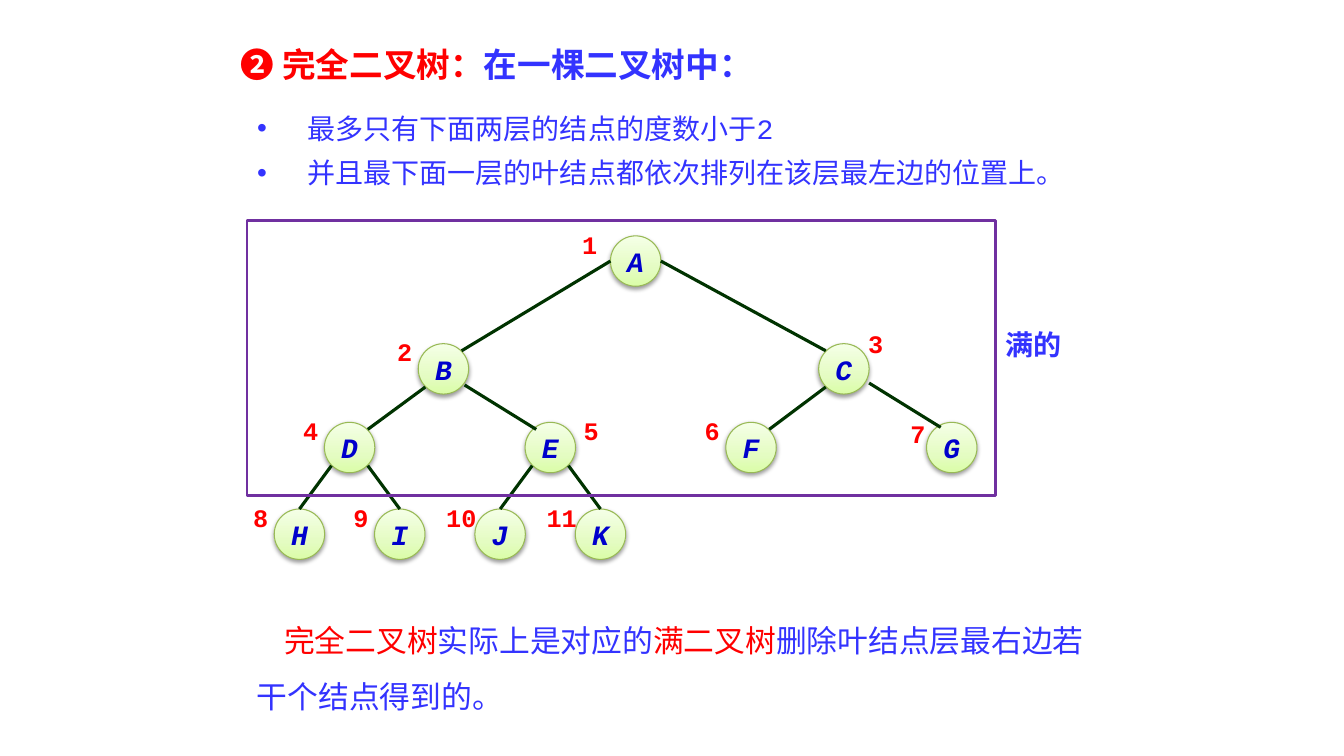
from pptx import Presentation
from pptx.dml.color import RGBColor
from pptx.enum.shapes import MSO_CONNECTOR, MSO_SHAPE
from pptx.enum.text import MSO_ANCHOR, MSO_AUTO_SIZE, PP_ALIGN
from pptx.oxml import parse_xml
from pptx.oxml.ns import nsdecls
from pptx.util import Inches, Pt

UNIT = 0.1
SIZE = 5
LEFT, STEP = 29.7, 64.7 / 13
ROWS = [25.9, 36.6, 44.4, 53]
BLUE, RED, NAVY, GREEN, PURPLE = "3333FF", "FF0000", "0000CC", "003300", "7030A0"

NODES = {
    "A": (6.7, 0), "B": (2.87, 1), "C": (10.85, 1),
    "D": (1, 2), "E": (5, 2), "F": (9, 2), "G": (13, 2),
    "H": (0, 3), "I": (2, 3), "J": (4, 3), "K": (6, 3),
}
TAGS = {"A": (-6.7, -3.2), "C": (1, -4), "E": (1.9, -3.2), "G": (-5.5, -2.9)}
ENDS = {"E": (2.1, 1.6, -1.4, -1.8), "G": (2.5, 1.4, -1.1, -2)}

GLOW = """<a:effectLst %s><a:outerShdw blurRad="39370" dist="20320" dir="5400000"
rotWithShape="0"><a:srgbClr val="000000"><a:alpha val="38000"/></a:srgbClr>
</a:outerShdw></a:effectLst>"""
FADE = """<a:gradFill %s rotWithShape="1"><a:gsLst>
<a:gs pos="0"><a:srgbClr val="DAFDA7"/></a:gs>
<a:gs pos="35000"><a:srgbClr val="E4FCC2"/></a:gs>
<a:gs pos="100000"><a:srgbClr val="F5FFE7"/></a:gs>
</a:gsLst><a:lin ang="16200000" scaled="0"/></a:gradFill>"""


def grid(*cells):
    """Turn grid units into slide lengths."""
    return [Inches(cell * UNIT) for cell in cells]


def paint(color, code):
    """Set a colour from its hex string."""
    color.rgb = RGBColor.from_string(code)


def node_xml(text):
    """Build a drawing element from its markup."""
    return parse_xml(text % nsdecls("a"))


def style(run, size, code, bold=False, slant=False):
    """Format one run."""
    run.font.name = "Courier New"
    run.font.size = Pt(size)
    run.font.bold, run.font.italic = bold, slant
    paint(run.font.color, code)


def write(para, parts, size, bold=False):
    """Fill a paragraph with coloured runs."""
    for text, code in parts:
        run = para.add_run()
        run.text = text
        style(run, size, code, bold)


def place(shape, *box):
    """Move a shape onto the grid, with its text left and at the top."""
    shape.left, shape.top, shape.width, shape.height = grid(*box)
    frame = shape.text_frame
    frame.auto_size = MSO_AUTO_SIZE.NONE
    frame.vertical_anchor = MSO_ANCHOR.TOP
    frame.paragraphs[0].alignment = PP_ALIGN.LEFT
    return frame


def text_box(slide, box, parts, size, bold=False):
    """Add a wrapped text box and return its frame."""
    frame = slide.shapes.add_textbox(*grid(*box)).text_frame
    frame.word_wrap = True
    write(frame.paragraphs[0], parts, size, bold)
    return frame


def flush(frame):
    """Drop the margins and centre the text."""
    frame.margin_left = frame.margin_right = 0
    frame.margin_top = frame.margin_bottom = 0
    frame.paragraphs[0].alignment = PP_ALIGN.CENTER


def centre(name):
    """Give the centre of a node in grid units."""
    col, row = NODES[name]
    return LEFT + col * STEP, ROWS[row]


def add_node(slide, name, tag):
    """Draw one node with its number."""
    x, y = centre(name)
    disc = slide.shapes.add_shape(
        MSO_SHAPE.OVAL, *grid(x - SIZE / 2, y - SIZE / 2, SIZE, SIZE))
    disc.fill.background()
    props = disc.fill._xPr
    props.replace(props.find("{*}noFill"), node_xml(FADE))
    paint(disc.line.color, "98B955")
    disc.line.width = Pt(0.75)
    props.append(node_xml(GLOW))
    frame = disc.text_frame
    frame.word_wrap = False
    frame.vertical_anchor = MSO_ANCHOR.MIDDLE
    frame.text = name
    style(frame.paragraphs[0].runs[0], 20, NAVY, True, True)
    flush(frame)
    dx, dy = TAGS.get(name, (-6, -3.2))
    flush(text_box(slide, (x + dx, y + dy, 4.3, 3.1), [(str(tag), RED)], 18, True))


def add_edge(slide, top, name):
    """Join a node to its parent."""
    (x1, y1), (x2, y2) = centre(top), centre(name)
    side = 1 if x2 > x1 else -1
    start = (2.5 * side, 0) if top == "A" else (1.8 * side, 1.8)
    end = (0, -2.5) if NODES[name][1] == 3 else (-1.8 * side, -1.8)
    a, b, c, d = ENDS.get(name, start + end)
    line = slide.shapes.add_connector(
        MSO_CONNECTOR.STRAIGHT, *grid(x1 + a, y1 + b, x2 + c, y2 + d))
    paint(line.line.color, GREEN)
    line.line.width = Pt(2.25)
    line._element.spPr.append(node_xml("<a:effectLst %s/>"))


def add_tree(slide):
    """Draw the nodes in level order, then the edges."""
    names = list(NODES)
    for tag, name in enumerate(names, 1):
        add_node(slide, name, tag)
    for spot, name in enumerate(names[1:], 1):
        add_edge(slide, names[(spot - 1) // 2], name)


def add_frame(slide):
    """Outline the full levels and label them."""
    frame = slide.shapes.add_shape(MSO_SHAPE.RECTANGLE, *grid(24.5, 21.9, 74.2, 27.3))
    frame.shadow.inherit = False
    frame.fill.background()
    paint(frame.line.color, PURPLE)
    frame.line.width = Pt(2)
    text_box(slide, (98.7, 32, 8.6, 4.4), [("满的", BLUE)], 20, True)


def add_list(shape, items):
    """Fill the body placeholder with bulleted lines."""
    frame = place(shape, 24.5, 9.4, 85.2, 9.6)
    for spot, item in enumerate(items):
        para = frame.add_paragraph() if spot else frame.paragraphs[0]
        write(para, [(item, BLUE)], 20)
        para.line_spacing = Pt(32)
        para.space_before = Pt(0)
        props = para._p.get_or_add_pPr()
        props.set("marL", str(Inches(0.5)))
        props.set("indent", str(-Inches(0.5)))
        props.append(node_xml('<a:buChar %s char="•"/>'))


def add_note(slide):
    """Write the closing remark."""
    parts = [("完全二叉树", RED), ("实际上是对应的", BLUE), ("满二叉树", RED),
             ("删除叶结点层最右边若干个结点得到的。", BLUE)]
    para = text_box(slide, (24.5, 59.4, 86.7, 11.5), parts, 22).paragraphs[0]
    para.line_spacing = 1.5
    para._p.get_or_add_pPr().set("indent", str(Inches(0.27)))


def main():
    """Build and save the slide."""
    deck = Presentation()
    deck.slide_width, deck.slide_height = grid(133.3, 75)
    slide = deck.slides.add_slide(deck.slide_layouts[1])
    title = place(slide.shapes.title, 22.9, 3.9, 63.3, 5)
    write(title.paragraphs[0],
          [("❷ 完全二叉树：", RED), ("在一棵二叉树中：", BLUE)], 24, True)
    add_list(slide.placeholders[1], [
        "最多只有下面两层的结点的度数小于2",
        "并且最下面一层的叶结点都依次排列在该层最左边的位置上。",
    ])
    add_tree(slide)
    add_note(slide)
    add_frame(slide)
    deck.save("out.pptx")


if __name__ == "__main__":
    main()
